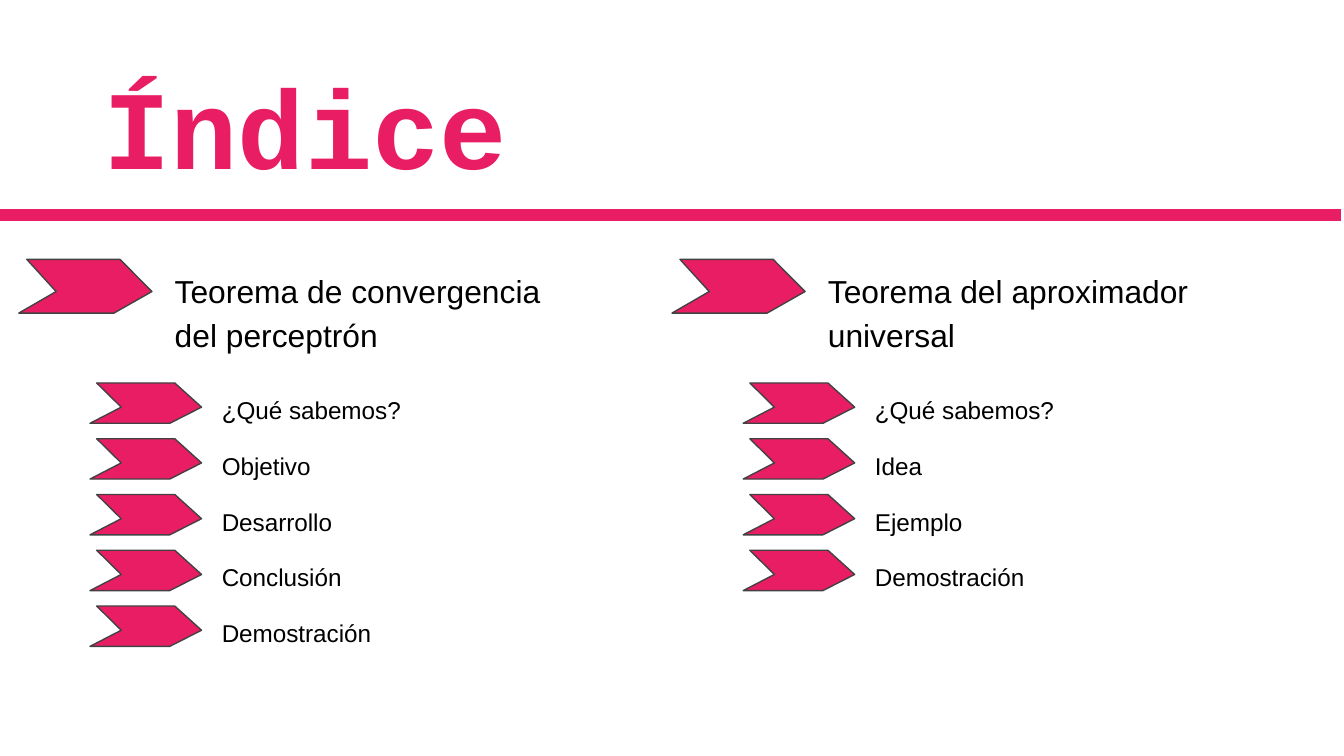
"""Build the two-column index slide."""
from dataclasses import dataclass

from pptx import Presentation
from pptx.dml.color import RGBColor as RGB
from pptx.enum.shapes import MSO_CONNECTOR as Conn
from pptx.enum.text import MSO_ANCHOR as Anchor, MSO_AUTO_SIZE as AutoSize, PP_ALIGN as Align
from pptx.oxml.ns import qn
from pptx.util import Inches, Pt


@dataclass(frozen=True)
class Theme:
    pink: RGB = RGB(0xE9, 0x1D, 0x63)
    outline: RGB = RGB(0x42, 0x42, 0x42)
    ink: RGB = RGB(0, 0, 0)
    paper: RGB = RGB(255, 255, 255)
    mono: str = "Courier New"
    sans: str = "Arial"
    title: int = 60
    heading: int = 17
    item: int = 13


@dataclass(frozen=True)
class Box:
    x: float
    y: float
    w: float
    h: float


@dataclass(frozen=True)
class Column:
    heading_idx: int
    list_idx: int
    heading: str
    items: tuple[str, ...]
    list_width: float


THEME = Theme()
WIDTH = 10
HEIGHT = WIDTH * 9 / 16
COL_X, COL_PITCH = 0.14, 4.86
ROW_Y, ROW_PITCH = 2.85, 0.415
ROW_GAP = 11.9
LINE_SPACING = 1.15
INSET = 0.1
ARROW = ((0.06, 0), (0.76, 0), (1, 0.6), (0.715, 1), (0, 1), (0.28, 0.6))

COLUMNS = (
    Column(1, 2, "Teorema de convergencia del perceptrón",
           ("¿Qué sabemos?", "Objetivo", "Desarrollo", "Conclusión", "Demostración"), 2.42),
    Column(3, 4, "Teorema del aproximador universal",
           ("¿Qué sabemos?", "Idea", "Ejemplo", "Demostración"), 3.81),
)


def fill_placeholder(sp, box: Box, lines: tuple[str, ...], size: int, color: RGB,
                     font: str = THEME.sans, bold: bool = False, gap: float = 0,
                     spacing: float = LINE_SPACING) -> None:
    """Move a placeholder and write one unbulleted paragraph per line."""
    sp.left, sp.top, sp.width, sp.height = map(Inches, (box.x, box.y, box.w, box.h))
    tf = sp.text_frame
    tf.word_wrap, tf.auto_size, tf.vertical_anchor = True, AutoSize.NONE, Anchor.TOP
    tf.margin_left = tf.margin_right = tf.margin_top = tf.margin_bottom = Inches(INSET)
    for i, line in enumerate(lines):
        p = tf.add_paragraph() if i else tf.paragraphs[0]
        p.alignment, p.line_spacing = Align.LEFT, spacing
        p.space_before, p.space_after = Pt(0), Pt(gap)
        pPr = p._p.get_or_add_pPr()
        pPr.set("marL", "0")
        pPr.set("indent", "0")
        pPr.append(pPr.makeelement(qn("a:buNone"), {}))
        r = p.add_run()
        r.text = line
        r.font.name, r.font.size, r.font.bold = font, Pt(size), bold
        r.font.color.rgb = color


def draw_arrow(s, box: Box) -> None:
    """Draw a notched arrow scaled to the box."""
    points = [(Inches(box.x + u * box.w), Inches(box.y + v * box.h)) for u, v in ARROW]
    builder = s.shapes.build_freeform(*points[0])
    builder.add_line_segments(points[1:], close=True)
    sp = builder.convert_to_shape()
    sp.shadow.inherit = False
    sp.fill.solid()
    sp.fill.fore_color.rgb = THEME.pink
    sp.line.color.rgb, sp.line.width = THEME.outline, Pt(0.75)


def draw_rule(s, x: float, y: float) -> None:
    """Draw the slide-wide rule under the title."""
    line = s.shapes.add_connector(Conn.STRAIGHT, Inches(x), Inches(y),
                                  Inches(x + WIDTH), Inches(y))
    line.line.color.rgb, line.line.width = THEME.pink, Pt(6)
    spPr = line._element.spPr
    spPr.append(spPr.makeelement(qn("a:effectLst"), {}))


def draw_column(s, col: Column, x: float, holders: dict) -> None:
    """Draw a heading and its list, each line led by an arrow."""
    draw_arrow(s, Box(x, 1.93, 0.99, 0.4))
    fill_placeholder(holders[col.heading_idx], Box(x + 1.06, 1.88, 3.26, 0.82),
                     (col.heading,), THEME.heading, THEME.ink)
    for row in range(len(col.items)):
        draw_arrow(s, Box(x + 0.53, ROW_Y + row * ROW_PITCH, 0.83, 0.3))
    fill_placeholder(holders[col.list_idx],
                     Box(x + 1.41, ROW_Y - 0.04, col.list_width, len(col.items) * ROW_PITCH),
                     col.items, THEME.item, THEME.ink, gap=ROW_GAP)


def main() -> None:
    """Build and save the slide."""
    prs = Presentation()
    prs.slide_width, prs.slide_height = Inches(WIDTH), Inches(HEIGHT)
    s = prs.slides.add_slide(prs.slide_layouts.get_by_name("Comparison"))
    holders = {sp.placeholder_format.idx: sp for sp in s.placeholders}
    title = s.shapes.title
    fill_placeholder(title, Box(0.67, 0.33, 4.91, 1.21), ("Índice",),
                     THEME.title, THEME.pink, THEME.mono, bold=True, spacing=1)
    title.fill.solid()
    title.fill.fore_color.rgb = THEME.paper
    title.line.color.rgb, title.line.width = THEME.paper, Pt(0.75)
    draw_rule(s, -0.02, 1.6)
    for i, col in enumerate(COLUMNS):
        draw_column(s, col, COL_X + i * COL_PITCH, holders)
    prs.save("out.pptx")


if __name__ == "__main__":
    main()
